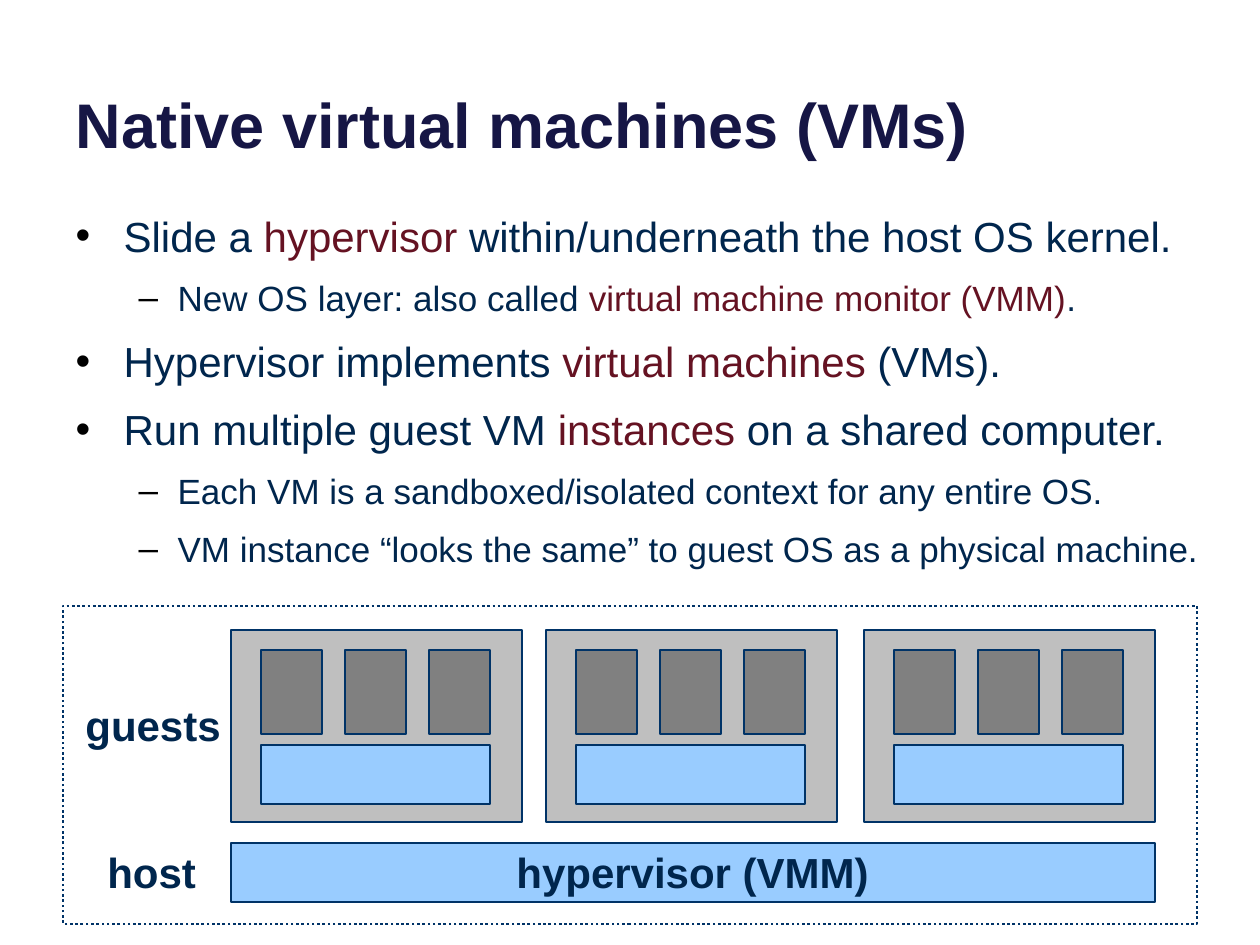
from dataclasses import dataclass

from lxml import etree
from pptx import Presentation
from pptx.dml.color import RGBColor
from pptx.enum.dml import MSO_LINE
from pptx.enum.shapes import MSO_SHAPE
from pptx.enum.text import MSO_ANCHOR, MSO_AUTO_SIZE, PP_ALIGN
from pptx.oxml.ns import qn
from pptx.util import Emu, Pt

RECTANGLE = MSO_SHAPE.RECTANGLE
PROCESS = MSO_SHAPE.FLOWCHART_PROCESS
DOTTED = MSO_LINE.ROUND_DOT
LEFT = PP_ALIGN.LEFT
BOTTOM = MSO_ANCHOR.BOTTOM
NO_AUTOFIT = MSO_AUTO_SIZE.NONE

PX_PER_INCH = 126
FONT = "Arial"
COLORS = {
    "title": "161645",
    "text": "00264D",
    "accent": "651222",
    "bullet": "000000",
    "outline": "003367",
    "guest": "BFBFBF",
    "app": "808080",
    "system": "99CCFF",
}


@dataclass(frozen=True)
class Box:
    left: int
    top: int
    width: int
    height: int


@dataclass(frozen=True)
class Level:
    size: int
    margin: int
    hanging: int
    space_before: int
    bullet: str


@dataclass(frozen=True)
class Item:
    level: int
    before: str
    accent: str = ""
    after: str = ""


@dataclass(frozen=True)
class Label:
    text: str
    box: Box


LEVELS = (Level(24, 48, 48, 10, "•"), Level(20, 102, 39, 9, "–"))
ITEMS = (
    Item(0, "Slide a ", "hypervisor", " within/underneath the host OS kernel."),
    Item(1, "New OS layer: also called ", "virtual machine monitor (VMM)", "."),
    Item(0, "Hypervisor implements ", "virtual machines ", "(VMs)."),
    Item(0, "Run multiple guest VM ", "instances", " on a shared computer."),
    Item(1, "Each VM is a sandboxed/isolated context for any entire OS."),
    Item(1, "VM instance “looks the same” to guest OS as a physical machine."),
)
LABELS = (
    Label("hypervisor (VMM)", Box(504, 840, 399, 63)),
    Label("host", Box(95, 840, 242, 63)),
    Label("guests", Box(73, 693, 242, 63)),
)
GUEST_LEFTS = (231, 546, 864)
GUEST_TOP = 630
APPS_PER_GUEST = 3
APP_PITCH = 84


def px(length: int) -> Emu:
    return Emu(round(length * 914400 / PX_PER_INCH))


def color(name: str) -> RGBColor:
    return RGBColor.from_string(COLORS[name])


def place(shape, box: Box) -> None:
    shape.left, shape.top = px(box.left), px(box.top)
    shape.width, shape.height = px(box.width), px(box.height)


def style_font(font, size: int, color_name: str, bold: bool = False) -> None:
    font.name = FONT
    font.size = Pt(size)
    font.bold = bold
    font.color.rgb = color(color_name)


def add_block(slide, kind, box: Box, fill: str | None, line_width: float):
    shape = slide.shapes.add_shape(
        kind, px(box.left), px(box.top), px(box.width), px(box.height)
    )
    shape.shadow.inherit = False
    if fill is None:
        shape.fill.background()
    else:
        shape.fill.solid()
        shape.fill.fore_color.rgb = color(fill)
    shape.line.color.rgb = color("outline")
    shape.line.width = Pt(line_width)
    return shape


def add_guest(slide, left: int) -> None:
    add_block(slide, RECTANGLE, Box(left, GUEST_TOP, 291, 192), "guest", 1.5)
    for index in range(APPS_PER_GUEST):
        app = Box(left + 30 + index * APP_PITCH, GUEST_TOP + 20, 61, 84)
        add_block(slide, RECTANGLE, app, "app", 1.5)
    add_block(slide, PROCESS, Box(left + 30, GUEST_TOP + 115, 229, 59), "system", 1)


def add_label(slide, label: Label) -> None:
    box = label.box
    shape = slide.shapes.add_textbox(
        px(box.left), px(box.top), px(box.width), px(box.height)
    )
    shape.text_frame.word_wrap = True
    paragraph = shape.text_frame.paragraphs[0]
    paragraph.text = label.text
    style_font(paragraph.font, 24, "text", bold=True)


def set_bullet(paragraph, level: Level) -> None:
    properties = paragraph._p.get_or_add_pPr()
    properties.set("marL", str(px(level.margin)))
    properties.set("indent", str(-px(level.hanging)))
    bullet_color = etree.SubElement(properties, qn("a:buClr"))
    etree.SubElement(bullet_color, qn("a:srgbClr"), val=COLORS["bullet"])
    etree.SubElement(properties, qn("a:buFont"), typeface=FONT)
    etree.SubElement(properties, qn("a:buChar"), char=level.bullet)


def fill_title(title) -> None:
    place(title, Box(63, -47, 1134, 214))
    frame = title.text_frame
    frame.auto_size = NO_AUTOFIT
    frame.vertical_anchor = BOTTOM
    paragraph = frame.paragraphs[0]
    paragraph.text = "Native virtual machines (VMs)"
    paragraph.alignment = LEFT
    style_font(paragraph.font, 36, "title", bold=True)


def fill_body(body) -> None:
    place(body, Box(63, 199, 1155, 388))
    frame = body.text_frame
    frame.auto_size = NO_AUTOFIT
    frame.margin_top = px(11)
    for index, item in enumerate(ITEMS):
        paragraph = frame.add_paragraph() if index else frame.paragraphs[0]
        level = LEVELS[item.level]
        paragraph.level = item.level
        set_bullet(paragraph, level)
        paragraph.space_before = Pt(level.space_before if index else 0)
        style_font(paragraph.font, level.size, "text")
        for text in filter(None, (item.before, item.accent, item.after)):
            run = paragraph.add_run()
            run.text = text
            if text == item.accent:
                run.font.color.rgb = color("accent")


def main() -> None:
    presentation = Presentation()
    presentation.slide_width, presentation.slide_height = px(1260), px(945)
    slide = presentation.slides.add_slide(presentation.slide_layouts[1])
    fill_title(slide.shapes.title)
    fill_body(slide.placeholders[1])
    for left in GUEST_LEFTS:
        add_guest(slide, left)
    add_block(slide, PROCESS, Box(231, 843, 924, 59), "system", 1)
    for label in LABELS:
        add_label(slide, label)
    frame = add_block(slide, RECTANGLE, Box(63, 606, 1134, 318), None, 1.5)
    frame.line.dash_style = DOTTED
    presentation.save("out.pptx")


if __name__ == "__main__":
    main()
